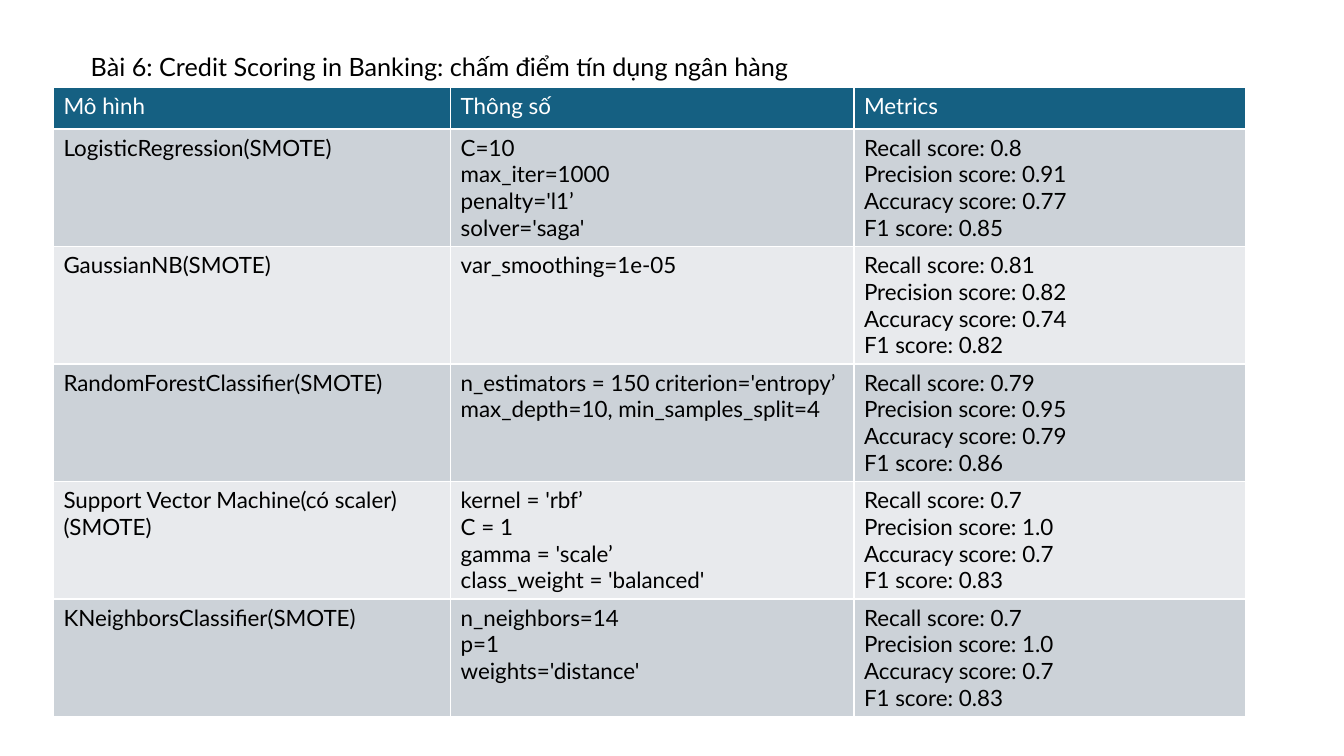
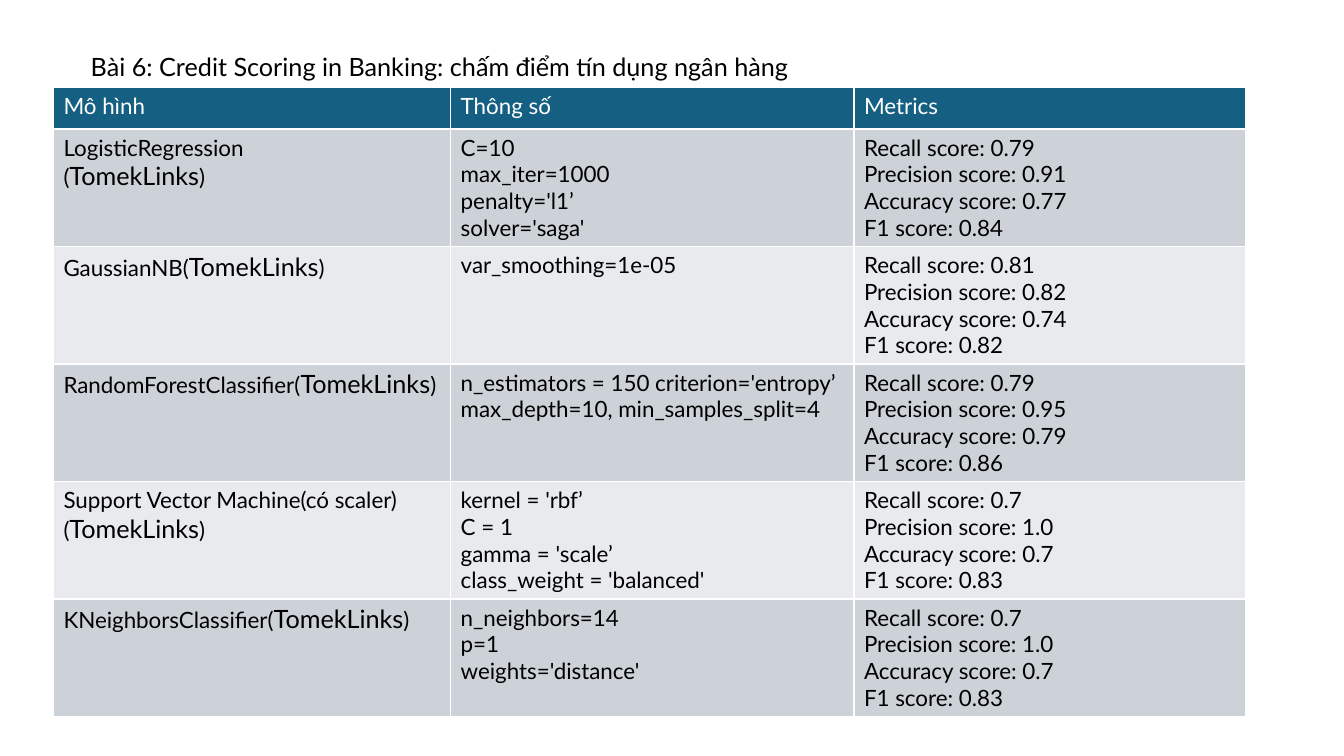
"""Build two slides comparing credit scoring models by resampling method."""
from dataclasses import dataclass, replace

from pptx import Presentation
from pptx.dml.color import RGBColor
from pptx.enum.text import MSO_ANCHOR, MSO_AUTO_SIZE, PP_ALIGN
from pptx.util import Inches, Pt

LEFT = PP_ALIGN.LEFT
TOP = MSO_ANCHOR.TOP
NO_FIT = MSO_AUTO_SIZE.NONE

FONT = "Lato"
BLACK, WHITE, TEAL = "000000", "FFFFFF", "156082"
BANDS = ("CCD2D8", "E8EAED")
TITLE_SIZE, CELL_SIZE = 18, 16
TITLE_ONLY = 5

TITLE = "Bài 6: Credit Scoring in Banking: chấm điểm tín dụng ngân hàng"
HEADERS = ("Mô hình", "Thông số", "Metrics")
METRICS = ("Recall", "Precision", "Accuracy", "F1")
COLUMN_WIDTHS = (3.94, 4, 3.88)
TITLE_BOX = (0.8, 0.46, 8, 0.4)
TABLE_LEFT, TABLE_TOP, TABLE_HEIGHT, HEADER_HEIGHT = 0.53, 0.87, 6.24, 0.41


@dataclass(frozen=True)
class Model:
    """A tuned classifier with its parameters and scores."""
    name: str
    params: str
    scores: tuple[str, ...]

    def cells(self, method: str) -> tuple[str, ...]:
        """Return the texts of the model's table row."""
        metrics = "\n".join(f"{m} score: {v}" for m, v in zip(METRICS, self.scores))
        return f"{self.name}({method})", self.params, metrics


@dataclass(frozen=True)
class Comparison:
    """The models shown on one slide and their resampling method."""
    method: str
    models: tuple[Model, ...]
    large: str = ""


SMOTE_MODELS = (
    Model("LogisticRegression", "C=10\nmax_iter=1000\npenalty='l1’\nsolver='saga'",
          ("0.8", "0.91", "0.77", "0.85")),
    Model("GaussianNB", "var_smoothing=1e-05", ("0.81", "0.82", "0.74", "0.82")),
    Model("RandomForestClassifier",
          "n_estimators = 150 criterion='entropy’\nmax_depth=10, min_samples_split=4",
          ("0.79", "0.95", "0.79", "0.86")),
    Model("Support Vector Machine(có scaler) ",
          "kernel = 'rbf’\nC = 1\ngamma = 'scale’\nclass_weight = 'balanced'",
          ("0.7", "1.0", "0.7", "0.83")),
    Model("KNeighborsClassifier", "n_neighbors=14\np=1\nweights='distance'",
          ("0.7", "1.0", "0.7", "0.83")),
)
TOMEK_LOGISTIC = replace(SMOTE_MODELS[0], name="LogisticRegression\n",
                         scores=("0.79", "0.91", "0.77", "0.84"))
COMPARISONS = (
    Comparison("SMOTE", SMOTE_MODELS),
    Comparison("TomekLinks", (TOMEK_LOGISTIC, *SMOTE_MODELS[1:]), large="TomekLinks"),
)


def rgb(value: str) -> RGBColor:
    """Convert a hex string to a colour."""
    return RGBColor.from_string(value)


def write_text(tf, text: str, *, size: float = CELL_SIZE, color: str = BLACK,
               large: str = "") -> None:
    """Write one paragraph per line, setting the large word at title size."""
    for i, line in enumerate(text.split("\n")):
        p = tf.add_paragraph() if i else tf.paragraphs[0]
        p.alignment = LEFT
        for part in line.partition(large) if large else (line,):
            if part:
                r = p.add_run()
                r.text = part
                r.font.name = FONT
                r.font.size = Pt(TITLE_SIZE if part == large else size)
                r.font.bold = False
                r.font.color.rgb = rgb(color)


def add_title(s) -> None:
    """Place and format the slide title on a single line."""
    sp = s.shapes.title
    sp.left, sp.top, sp.width, sp.height = map(Inches, TITLE_BOX)
    tf = sp.text_frame
    tf.word_wrap = True
    tf.auto_size = NO_FIT
    tf.vertical_anchor = TOP
    write_text(tf, TITLE, size=TITLE_SIZE)


def add_model_table(s, comparison: Comparison) -> None:
    """Draw the header row and one banded row per model."""
    rows = [HEADERS, *(m.cells(comparison.method) for m in comparison.models)]
    table = s.shapes.add_table(
        len(rows), len(HEADERS), Inches(TABLE_LEFT), Inches(TABLE_TOP),
        Inches(sum(COLUMN_WIDTHS)), Inches(TABLE_HEIGHT)).table
    for column, width in zip(table.columns, COLUMN_WIDTHS):
        column.width = Inches(width)
    model_height = (TABLE_HEIGHT - HEADER_HEIGHT) / len(comparison.models)
    for i, texts in enumerate(rows):
        table.rows[i].height = Inches(model_height if i else HEADER_HEIGHT)
        fill = BANDS[(i - 1) % 2] if i else TEAL
        for j, text in enumerate(texts):
            cell = table.cell(i, j)
            cell.fill.solid()
            cell.fill.fore_color.rgb = rgb(fill)
            write_text(cell.text_frame, text, color=BLACK if i else WHITE,
                       large=comparison.large)


def main() -> None:
    """Build and save the presentation."""
    prs = Presentation()
    prs.slide_width, prs.slide_height = Inches(13.33), Inches(7.5)
    for comparison in COMPARISONS:
        s = prs.slides.add_slide(prs.slide_layouts[TITLE_ONLY])
        add_title(s)
        add_model_table(s, comparison)
    prs.save("out.pptx")


if __name__ == "__main__":
    main()
